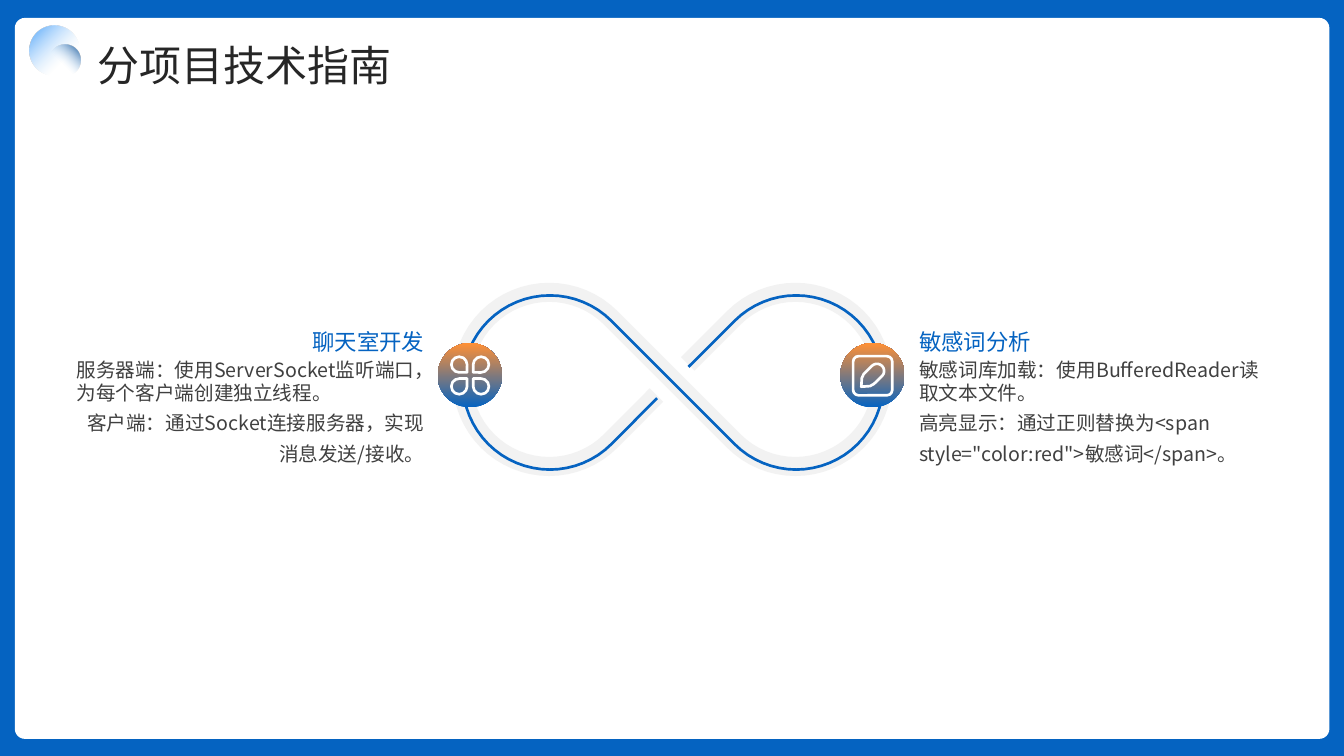
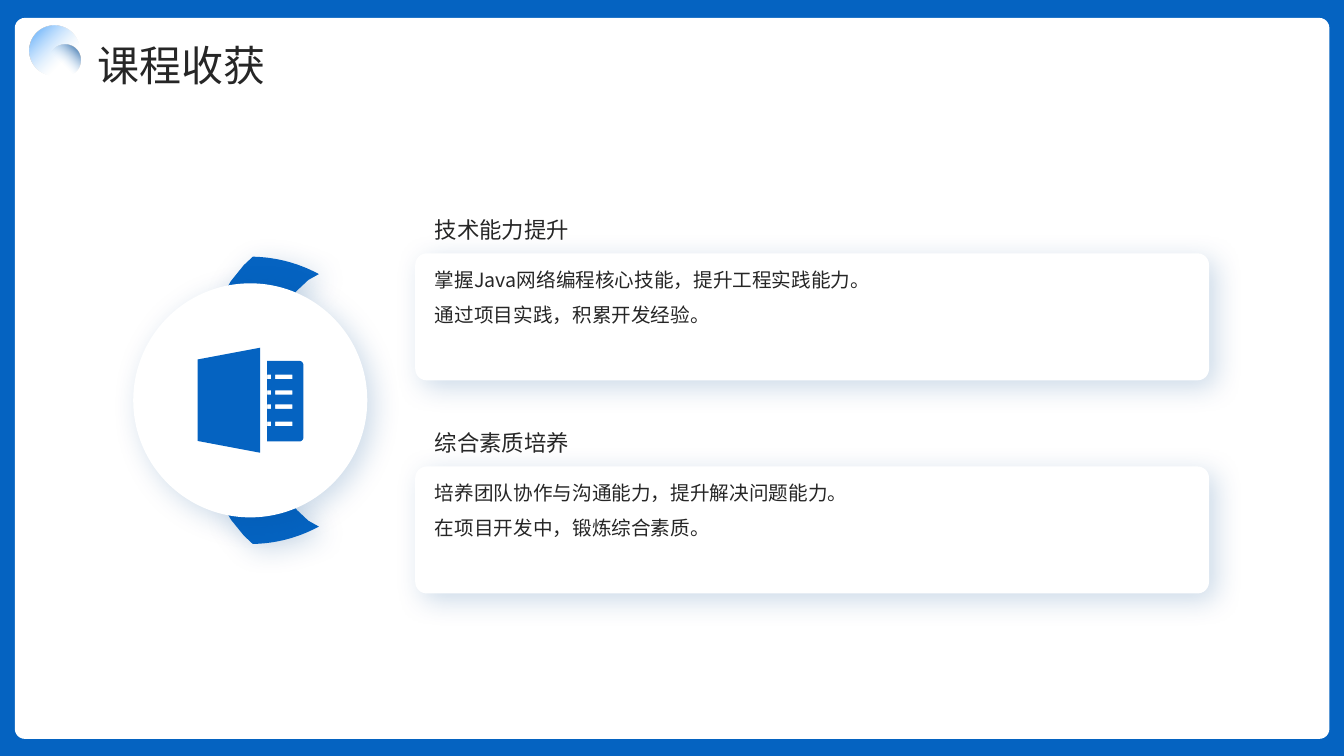
from math import cos, radians, sin

from lxml import etree
from pptx import Presentation
from pptx.dml.color import RGBColor
from pptx.enum import shapes, text
from pptx.oxml.ns import qn
from pptx.util import Pt

# Shared style
BLUE = RGBColor(0x05, 0x63, 0xC1)
NAVY = RGBColor(0x04, 0x4A, 0x91)
SKY = RGBColor(0x49, 0xA1, 0xFA)
PALE = RGBColor(0xC2, 0xE0, 0xFD)
ORANGE = RGBColor(0xFF, 0x90, 0x35)
GRAY = RGBColor(0xF2, 0xF2, 0xF2)
WHITE = RGBColor(0xFF, 0xFF, 0xFF)
INK = RGBColor(0x26, 0x26, 0x26)
BODY = RGBColor(0x40, 0x40, 0x40)
FONT = "Noto Sans CJK SC"
SHAPE = shapes.MSO_SHAPE
LEFT, RIGHT = text.PP_ALIGN.LEFT, text.PP_ALIGN.RIGHT
TOP, BOTTOM = text.MSO_ANCHOR.TOP, text.MSO_ANCHOR.BOTTOM


def arc(center_x, center_y, radius, start, end, steps=48):
    """Points along a circle; angles in degrees, clockwise from the right."""
    angles = [radians(start + (end - start) * i / steps) for i in range(steps + 1)]
    return [(center_x + radius * cos(a), center_y + radius * sin(a)) for a in angles]


def box(left, top, width, height):
    right, bottom = left + width, top + height
    return [(left, top), (right, top), (right, bottom), (left, bottom)]


def write(frame, lines, size=14, color=INK, aligns=(LEFT,), spacings=(20,), anchor=TOP):
    """Fill a text frame; aligns and spacings (points) hold one entry per line."""
    frame.word_wrap = True
    frame.vertical_anchor = anchor
    frame.margin_left = frame.margin_right = frame.margin_top = frame.margin_bottom = 0
    for i, (line, align, spacing) in enumerate(zip(lines, aligns, spacings)):
        paragraph = frame.add_paragraph() if i else frame.paragraphs[0]
        paragraph.alignment = align
        paragraph.line_spacing = Pt(spacing)
        paragraph.space_before = Pt(0)
        run = paragraph.add_run()
        run.text = line
        run.font.size = Pt(size)
        run.font.bold = False
        run.font.color.rgb = color
        run.font.name = FONT
        etree.SubElement(run.font._element, qn("a:ea"), typeface=FONT)


class Deck:
    def __init__(self):
        self.presentation = Presentation()
        self.presentation.slide_width = Pt(960)
        self.presentation.slide_height = Pt(540)
        background = self.presentation.slide_master.background.fill
        background.solid()
        background.fore_color.rgb = BLUE
        self.slide = None

    def new_slide(self, title):
        self.slide = self.presentation.slides.add_slide(self.presentation.slide_layouts[5])
        panel = self.shape(SHAPE.ROUNDED_RECTANGLE, 10.6, 12.8, 939, 515, fill=WHITE, corner=0.014)
        # The title sits above the white panel
        heading = self.slide.shapes.title
        panel.element.addnext(heading.element)
        heading.left, heading.top, heading.width, heading.height = Pt(70), Pt(21), Pt(822), Pt(43)
        write(heading.text_frame, [title], size=30, spacings=(43,))
        # Corner emblem
        large = self.shape(SHAPE.OVAL, 21.4, 18.6, 35, 35)
        self.gradient(large, (31, PALE, 0), (100, SKY, 100), focus=("l", "t"))
        small = self.shape(SHAPE.OVAL, 35.6, 32.2, 21.6, 21.6)
        self.gradient(small, (40, PALE, 0), (100, NAVY, 100), focus=("t", "r"))

    def paint(self, shape, fill=None, line=None, weight=1.9, shadow=False):
        shape.shadow.inherit = False
        if fill is None:
            shape.fill.background()
        else:
            shape.fill.solid()
            shape.fill.fore_color.rgb = fill
        if line is None:
            shape.line.fill.background()
        else:
            shape.line.color.rgb = line
            shape.line.width = Pt(weight)
        if shadow:
            effects = shape.element.spPr.find(qn("a:effectLst"))
            outer = etree.SubElement(
                effects, qn("a:outerShdw"), blurRad=str(Pt(20)), dist=str(Pt(6)),
                dir="2700000", algn="tl", rotWithShape="0")
            color = etree.SubElement(outer, qn("a:srgbClr"), val=str(NAVY))
            etree.SubElement(color, qn("a:alpha"), val="20000")
        return shape

    def shape(self, kind, left, top, width, height, corner=None, rotation=0, **style):
        shape = self.slide.shapes.add_shape(kind, Pt(left), Pt(top), Pt(width), Pt(height))
        if corner is not None:
            shape.adjustments[0] = corner
        shape.rotation = rotation
        return self.paint(shape, **style)

    def outline(self, contours, closed=True, **style):
        contours = [[(Pt(x), Pt(y)) for x, y in contour] for contour in contours]
        builder = self.slide.shapes.build_freeform(*contours[0][0])
        for i, contour in enumerate(contours):
            if i:
                builder.move_to(*contour[0])
            builder.add_line_segments(contour[1:], close=closed)
        return self.paint(builder.convert_to_shape(), **style)

    def gradient(self, shape, *stops, focus=None):
        """Stops are (position, color, opacity); focus names the inset sides of a radial fill."""
        shape.fill.gradient()
        fill = shape.element.spPr.find(qn("a:gradFill"))
        for child in list(fill):
            fill.remove(child)
        stop_list = etree.SubElement(fill, qn("a:gsLst"))
        for position, color, opacity in stops:
            stop = etree.SubElement(stop_list, qn("a:gs"), pos=str(position * 1000))
            value = etree.SubElement(stop, qn("a:srgbClr"), val=str(color))
            etree.SubElement(value, qn("a:alpha"), val=str(opacity * 1000))
        if focus:
            radial = etree.SubElement(fill, qn("a:path"), {"path": "circle"})
            etree.SubElement(radial, qn("a:fillToRect"), {side: "100000" for side in focus})
        else:
            etree.SubElement(fill, qn("a:lin"), ang="16200000", scaled="0")

    def label(self, lines, left, top, width, height, **style):
        area = self.slide.shapes.add_textbox(Pt(left), Pt(top), Pt(width), Pt(height))
        write(area.text_frame, lines, **style)


def project_guide(deck):
    deck.new_slide("分项目技术指南")

    # Infinity loop: a wide gray band with a thin blue line along it
    radius, middle = 62.2, 273.2
    left_x, right_x = 392.8, 568.7
    loop = ([(491.8, 262.1)] + arc(right_x, middle, radius, -135, 135)
            + arc(left_x, middle, radius, -45, -315) + [(469.4, 284.4)])
    band = [(x - 0.5, y - 2.2) for x, y in loop]
    deck.outline([band], closed=False, line=GRAY, weight=13.6)
    deck.outline([loop], closed=False, line=BLUE)

    # Badges
    for left in (312.6, 600.2):
        badge = deck.shape(SHAPE.OVAL, left, 245, 46, 46)
        deck.gradient(badge, (0, BLUE, 100), (100, ORANGE, 100))

    # Four-petal icon, points toward the centre
    petal, reach = 11.2, 7.8
    for x, y, rotation in ((-1, 1, 0), (-1, -1, 90), (1, -1, 180), (1, 1, 270)):
        deck.shape(SHAPE.TEAR, 335.8 + x * reach - petal / 2, 268.2 + y * reach - petal / 2,
                   petal, petal, rotation=rotation, line=WHITE)

    # Leaf-in-a-frame icon
    deck.shape(SHAPE.ROUNDED_RECTANGLE, 609.4, 254.4, 28, 28, corner=0.14, line=WHITE)
    leaf = (arc(626.4, 265, 5.1, -135, 45)
            + [(624.2, 274.3), (621.4, 275.8), (615.2, 276.2), (615.6, 270), (617, 267.1)])
    deck.outline([leaf], line=WHITE)

    # Topics on both sides
    topics = (
        (54.7, RIGHT, "聊天室开发", ["服务器端：使用ServerSocket监听端口，为每个客户端创建独立线程。",
                                "客户端：通过Socket连接服务器，实现消息发送/接收。"]),
        (656.6, LEFT, "敏感词分析", ["敏感词库加载：使用BufferedReader读取文本文件。",
                                '高亮显示：通过正则替换为<span style="color:red">敏感词</span>。']),
    )
    for left, align, heading, lines in topics:
        deck.label([heading], left, 218, 248.4, 35.6, size=16, color=BLUE,
                   aligns=(align,), anchor=BOTTOM)
        deck.label(lines, left, 255.8, 248.4, 160, color=BODY,
                   aligns=(LEFT, align), spacings=(16.4, 22))


def course_gains(deck):
    deck.new_slide("课程收获")

    # Cards
    cards = (
        ("技术能力提升", ["掌握Java网络编程核心技能，提升工程实践能力。", "通过项目实践，积累开发经验。"]),
        ("综合素质培养", ["培养团队协作与沟通能力，提升解决问题能力。", "在项目开发中，锻炼综合素质。"]),
    )
    for i, (heading, lines) in enumerate(cards):
        top = 181 + i * 152.2
        deck.shape(SHAPE.ROUNDED_RECTANGLE, 296.6, top, 567, 90.7, corner=0.09,
                   fill=WHITE, shadow=True)
        deck.label(lines, 310.7, top + 10.6, 539, 73, aligns=(LEFT, LEFT), spacings=(16.4, 25))
        deck.label([heading], 310.7, top - 32, 539, 24.5, size=16, anchor=BOTTOM)

    # Mirrored tabs behind the disc
    center_x, center_y = 178.8, 286
    upper = (arc(center_x, center_y, 102.6, -89, -61.5)
             + [(220.3, 200), (212.4, 207.4), (205.2, 215.3),
                (157.7, 213.8), (164.9, 200.9), (174.2, 189.4)])
    lower = [(x, 2 * center_y - y) for x, y in upper]
    deck.outline([upper, lower], fill=BLUE, shadow=True)
    deck.shape(SHAPE.OVAL, 95.2, 202.4, 167.2, 167.2, fill=WHITE, shadow=True)

    # Notebook icon: cover, and a page with notches and ruled lines cut out
    cover = [(141.1, 256.8), (185.8, 248.4), (185.8, 323.4), (141.1, 315)]
    page = ([(190.8, 257.8)] + arc(213.7, 260.8, 3, -90, 0)
            + arc(213.7, 312.4, 3, 0, 90) + [(190.8, 315.4)])
    cuts = [box(left, middle - 1.6, width, 3.2)
            for middle in (269.3, 280.4, 290.5, 302.8)
            for left, width in ((190.8, 2.9), (196.6, 12.2))]
    deck.outline([cover, page] + cuts, fill=BLUE)


def main():
    deck = Deck()
    project_guide(deck)
    course_gains(deck)
    deck.presentation.save("out.pptx")


if __name__ == "__main__":
    main()
